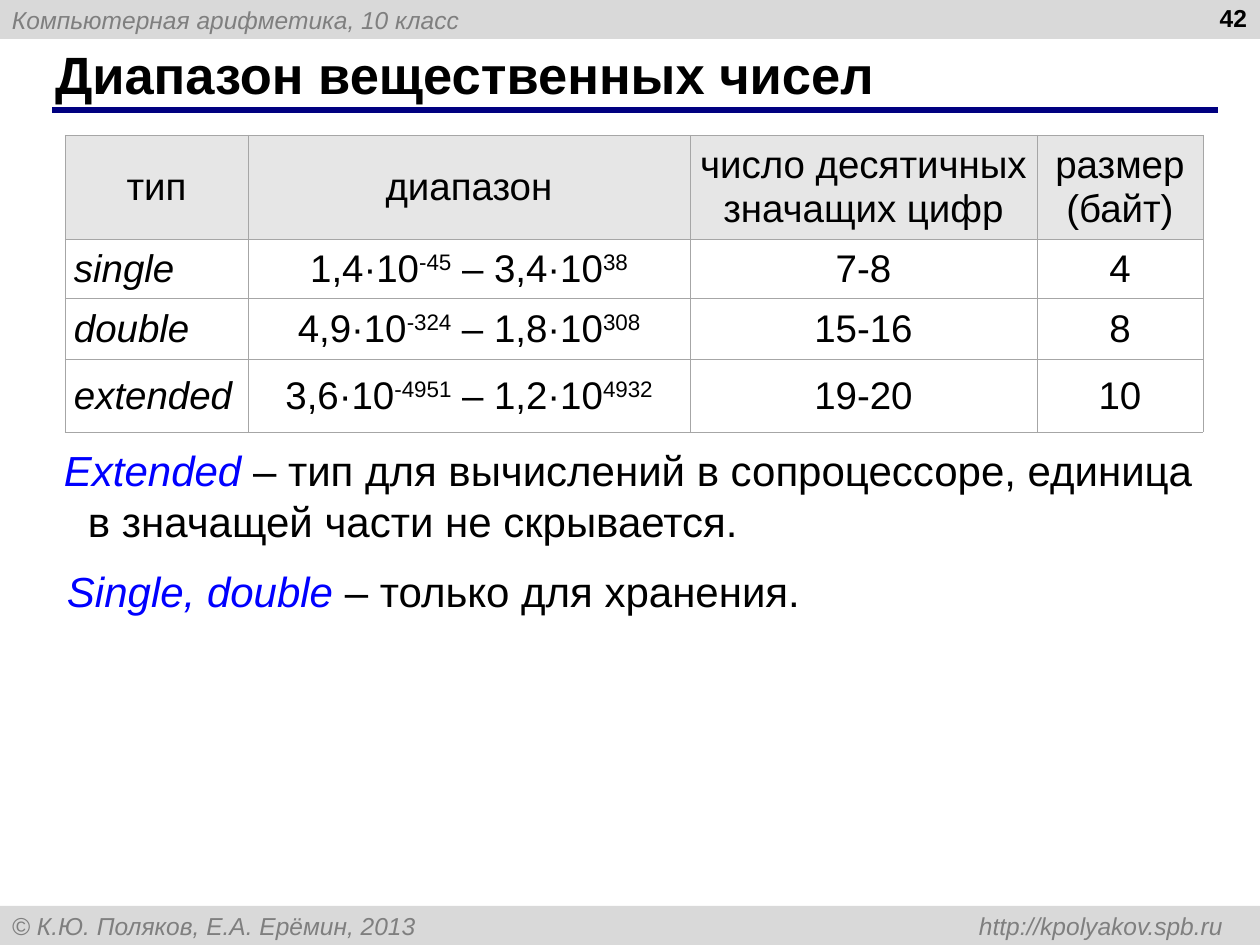
from lxml.etree import SubElement
from pptx import Presentation
from pptx.dml.color import RGBColor
from pptx.enum.shapes import MSO_CONNECTOR as LINE, MSO_SHAPE as SHAPE
from pptx.enum.text import MSO_ANCHOR as ANCHOR, PP_ALIGN as ALIGN
from pptx.oxml.ns import qn
from pptx.util import Pt

SCALE = 914400 / 126
FONT = "Arial"
BLACK, GRAY, BLUE, NAVY = "000000", "7F7F7F", "0000FF", "000080"
BAND, HEADER, BORDER = "D9D9D9", "E6E6E6", "A6A6A6"


def px(n):
    return round(n * SCALE)


def color(value):
    return RGBColor.from_string(value)


def style(font, size, hue=BLACK, bold=False, italic=False):
    font.name, font.size = FONT, Pt(size)
    font.bold, font.italic = bold, italic
    font.color.rgb = color(hue)


def set_margins(target, x, y):
    target.margin_left = target.margin_right = px(x)
    target.margin_top = target.margin_bottom = px(y)


def add_text(slide, box, text="", anchor=ANCHOR.TOP, wrap=True):
    frame = slide.shapes.add_textbox(*map(px, box)).text_frame
    set_margins(frame, 12, 6)
    frame.word_wrap, frame.vertical_anchor = wrap, anchor
    line = frame.paragraphs[0]
    line.text = text
    return line


def add_band(slide, box, text, tab=None):
    band = slide.shapes.add_shape(SHAPE.RECTANGLE, *map(px, box))
    band.shadow.inherit = False
    band.fill.solid()
    band.fill.fore_color.rgb = color(BAND)
    band.line.fill.background()
    frame = band.text_frame
    set_margins(frame, 12, 6)
    frame.vertical_anchor = ANCHOR.MIDDLE
    line = frame.paragraphs[0]
    line.text, line.alignment = text, ALIGN.LEFT
    style(line.font, 14, GRAY, italic=True)
    if tab:
        stops = SubElement(line._p.get_or_add_pPr(), qn("a:tabLst"))
        line._p.pPr.insert(0, stops)
        SubElement(stops, qn("a:tab"), pos=str(px(tab)), algn="r")


def add_title(slide, box, text):
    left, top, width, height = box
    title = add_text(slide, (left - 9, top, width, height), text, ANCHOR.MIDDLE)
    style(title.font, 30, bold=True)
    y = px(top + height + 3)
    rule = slide.shapes.add_connector(LINE.STRAIGHT, px(left), y, px(left + width), y)
    rule.line.color.rgb = color(NAVY)
    rule.line.width = Pt(3)
    SubElement(rule._element.spPr, qn("a:effectLst"))


def add_page_number(slide, box, number):
    line = add_text(slide, box, number)
    line.alignment = ALIGN.RIGHT
    style(line.font, 14, bold=True)


def set_borders(cell):
    props = cell._tc.get_or_add_tcPr()
    for side in ("lnL", "lnR", "lnT", "lnB"):
        edge = SubElement(props, qn(f"a:{side}"), w=str(Pt(0.23)))
        fill = SubElement(edge, qn("a:solidFill"))
        SubElement(fill, qn("a:srgbClr"), val=BORDER)


def fill_cell(cell, text, is_header, is_type):
    set_borders(cell)
    set_margins(cell, 9, 6)
    cell.vertical_anchor = ANCHOR.MIDDLE
    if is_header:
        cell.fill.solid()
        cell.fill.fore_color.rgb = color(HEADER)
    else:
        cell.fill.background()
    line = cell.text_frame.paragraphs[0]
    line.alignment = ALIGN.JUSTIFY if is_type else ALIGN.CENTER
    style(line.font, 22, italic=is_type)
    for i, part in enumerate(text.split("^")):
        run = line.add_run()
        run.text = part
        if i % 2:
            run._r.get_or_add_rPr().set("baseline", "30000")


def add_types_table(slide, left, top, widths, heights, rows):
    box = (left, top, sum(widths), sum(heights))
    table = slide.shapes.add_table(len(rows), len(widths), *map(px, box)).table
    table.first_row = table.horz_banding = False
    for column, width in zip(table.columns, widths):
        column.width = px(width)
    for r, (row, height) in enumerate(zip(rows, heights)):
        table.rows[r].height = px(height)
        for c, text in enumerate(row):
            fill_cell(table.cell(r, c), text, r == 0, r > 0 and c == 0)


def add_note(slide, box, term, meaning, hanging=0, wrap=True):
    line = add_text(slide, box, wrap=wrap)
    for text, hue, italic in ((term, BLUE, True), (meaning, BLACK, False)):
        run = line.add_run()
        run.text = text
        style(run.font, 24, hue, italic=italic)
    if hanging:
        props = line._p.get_or_add_pPr()
        props.set("marL", str(px(hanging)))
        props.set("indent", str(-px(hanging)))


def build_range_slide(slide, width, height):
    band = 39
    add_band(slide, (0, 0, width, band), "Компьютерная арифметика, 10 класс")
    add_band(slide, (0, height - band, width, band),
             "© К.Ю. Поляков, Е.А. Ерёмин, 2013 \thttp://kpolyakov.spb.ru", 1211)
    add_title(slide, (52, 41, 1166, 66), "Диапазон вещественных чисел")
    add_page_number(slide, (965, -3, 294, 66), "42")
    add_types_table(slide, 65, 135, (183, 442, 347, 166), (99, 59, 61, 73), (
        ("тип", "диапазон", "число десятичных значащих цифр", "размер (байт)"),
        ("single", "1,4·10^-45^ – 3,4·10^38", "7-8", "4"),
        ("double", "4,9·10^-324^ – 1,8·10^308", "15-16", "8"),
        ("extended", "3,6·10^-4951^ – 1,2·10^4932", "19-20", "10"),
    ))
    add_note(slide, (52, 439, 1170, 113), "Extended ",
             "– тип для вычислений в сопроцессоре, единица "
             "в значащей части не скрывается.", hanging=24)
    add_note(slide, (55, 560, 758, 63), "Single, double ",
             "– только для хранения.", wrap=False)


def main():
    deck = Presentation()
    width, height = 1260, 945
    deck.slide_width, deck.slide_height = px(width), px(height)
    build_range_slide(deck.slides.add_slide(deck.slide_layouts[6]), width, height)
    deck.save("out.pptx")


if __name__ == "__main__":
    main()
